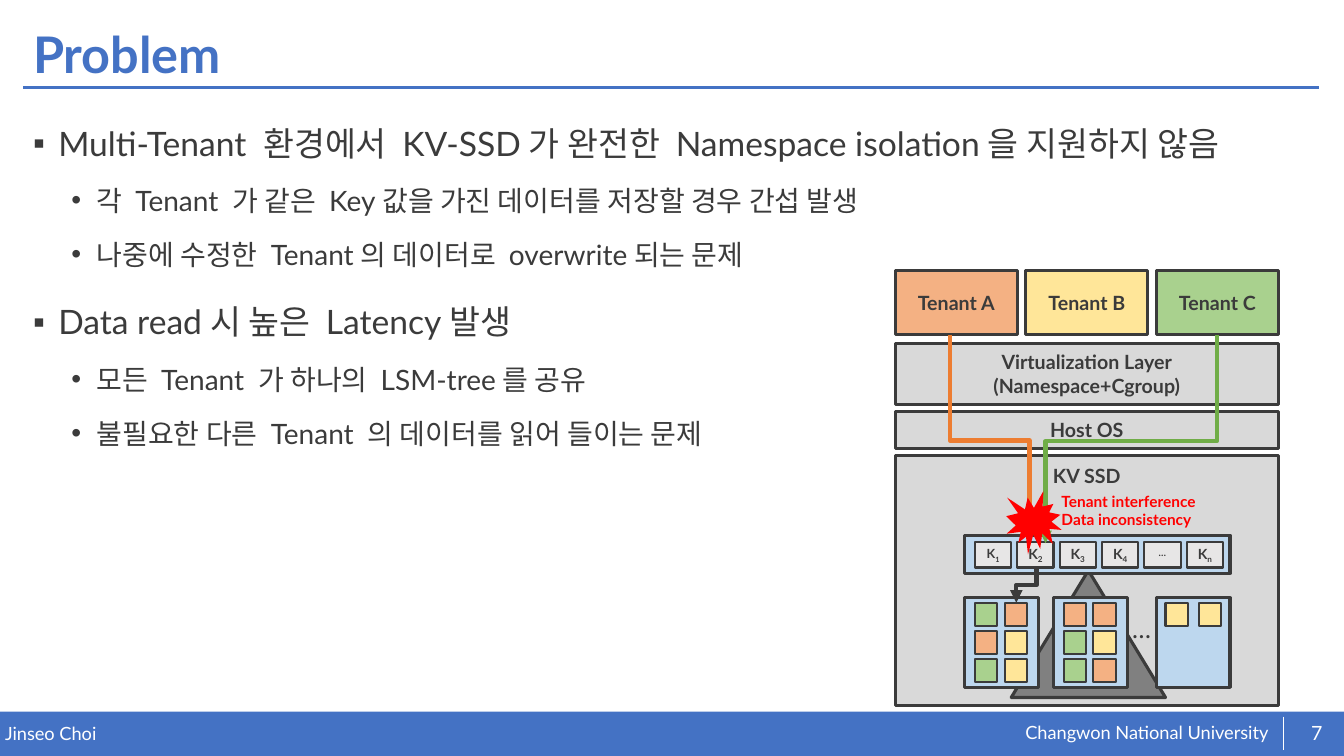
import pptx
import pptx.util
import pptx.dml.color
import pptx.enum.shapes
import pptx.enum.text
import pptx.oxml.ns
import lxml.etree

RGB = pptx.dml.color.RGBColor
BLUE = RGB(0x44, 0x72, 0xC4)
WHITE = RGB(0xFF, 0xFF, 0xFF)
INK = RGB(0x3B, 0x3B, 0x3B)
SILVER = RGB(0xD9, 0xD9, 0xD9)
PALE = RGB(0xE7, 0xE6, 0xE6)
GRAY = RGB(0x80, 0x80, 0x80)
SKY = RGB(0xBD, 0xD7, 0xEE)
PEACH = RGB(0xF4, 0xB1, 0x83)
CREAM = RGB(0xFF, 0xE6, 0x99)
MINT = RGB(0xA9, 0xD1, 0x8E)
AMBER = RGB(0xED, 0x7D, 0x31)
GREEN = RGB(0x70, 0xAD, 0x47)
RED = RGB(0xFF, 0, 0)

KIND = pptx.enum.shapes.MSO_SHAPE
LINK = pptx.enum.shapes.MSO_CONNECTOR
ALIGN = pptx.enum.text.PP_ALIGN
ANCHOR = pptx.enum.text.MSO_ANCHOR
Pt = pptx.util.Pt
qn = pptx.oxml.ns.qn

# Slide grid: square cells, 133.3 columns by 75 rows
COLS, ROWS = 133.3, 75
CELL = pptx.util.Inches(0.1)

POINTS = [
    (0, "Multi-Tenant 환경에서 KV-SSD가 완전한 Namespace isolation을 지원하지 않음"),
    (1, "각 Tenant 가 같은 Key값을 가진 데이터를 저장할 경우 간섭 발생"),
    (1, "나중에 수정한 Tenant의 데이터로 overwrite되는 문제"),
    (0, "Data read시 높은 Latency발생"),
    (1, "모든 Tenant 가 하나의 LSM-tree를 공유"),
    (1, "불필요한 다른 Tenant 의 데이터를 읽어 들이는 문제"),
]
# Per level: bullet, left margin in cells, text size, space before
LEVELS = [("▪", 2.5, 24, 10), ("•", 6.3, 20, 5)]


def grid(*cells):
    return [round(n * CELL) for n in cells]


def style(run, size, color, bold=False):
    run.font.name = "Lato"
    run.font.size = Pt(size)
    run.font.bold = bold
    run.font.color.rgb = color


def write(frame, text, size, color, bold=False, align=ALIGN.LEFT):
    frame.text = text
    for para in frame.paragraphs:
        para.alignment = align
        for run in para.runs:
            style(run, size, color, bold)


def inset(frame, side=0, top=0):
    frame.margin_left = frame.margin_right = grid(side)[0]
    frame.margin_top = frame.margin_bottom = grid(top)[0]


def label(shapes, place, text, size, color, bold=False, wrap=True, pad=True):
    frame = shapes.add_textbox(*grid(*place)).text_frame
    frame.word_wrap = wrap
    if not pad:
        inset(frame)
    write(frame, text, size, color, bold)
    return frame


def block(shapes, place, fill, edge=2.25, text="", kind=KIND.RECTANGLE):
    shape = shapes.add_shape(kind, *grid(*place))
    shape.shadow.inherit = False
    shape.fill.solid()
    shape.fill.fore_color.rgb = fill
    if edge:
        shape.line.color.rgb = INK
        shape.line.width = Pt(edge)
    else:
        shape.line.fill.background()
    if text:
        frame = shape.text_frame
        frame.vertical_anchor = ANCHOR.MIDDLE
        write(frame, text, 14, INK, True, ALIGN.CENTER)
    return shape


def rule(shapes, ends, color, width, kind=LINK.STRAIGHT):
    line = shapes.add_connector(kind, *grid(*ends))
    line.line.color.rgb = color
    line.line.width = Pt(width)
    lxml.etree.SubElement(line._element.spPr, qn("a:effectLst"))
    return line


def elbow(shapes, ends, color, bend=0.5):
    """Arrow that runs down, across, and down again."""
    x1, y1, x2, y2 = ends
    midx, midy = (x1 + x2) / 2, (y1 + y2) / 2
    long, wide = (y2 - y1) / 2, abs(x2 - x1) / 2
    turned = (midx - long, midy - wide, midx + long, midy + wide)
    line = rule(shapes, turned, color, 3, LINK.ELBOW)
    props = line._element.spPr
    frame = props.find(qn("a:xfrm"))
    frame.set("rot", str((270 if x2 > x1 else 90) * 60000))
    if x2 > x1:
        frame.set("flipH", "1")
    guides = props.find(qn("a:prstGeom")).find(qn("a:avLst"))
    lxml.etree.SubElement(guides, qn("a:gd"), name="adj1",
                          fmla=f"val {round(bend * 100000)}")
    lxml.etree.SubElement(props.find(qn("a:ln")), qn("a:tailEnd"),
                          type="triangle")


def points(shapes):
    frame = shapes.add_textbox(*grid(2.3, 10.1, 128.6, 56.3)).text_frame
    frame.word_wrap = True
    for i, (level, text) in enumerate(POINTS):
        mark, left, size, gap = LEVELS[level]
        para = frame.paragraphs[0] if i == 0 else frame.add_paragraph()
        para.text = text
        para.line_spacing = 1.4
        if i:
            para.space_before = Pt(gap)
        props = para._p.get_or_add_pPr()
        props.set("marL", str(grid(left)[0]))
        props.set("indent", str(grid(-2.5)[0]))
        lxml.etree.SubElement(props, qn("a:buFont"), typeface="Arial")
        lxml.etree.SubElement(props, qn("a:buChar"), char=mark)
        style(para.runs[0], size, INK)


def store(shapes, left, fills, first=1, step=2.95):
    """Table file: a box with two columns of data squares."""
    group = shapes.add_group_shape().shapes
    block(group, (left, 59.3, 7.3, 8.9), SKY)
    for i, fill in enumerate(fills):
        row, col = divmod(i, 2)
        block(group, (left + first + col * step, 59.8 + row * 2.8, 2.2, 2.3),
              fill, 1.5)


def keys(shapes):
    block(shapes, (95.7, 53.1, 26.3, 3.8), SKY)
    for i, sub in enumerate("1234…n"):
        dots = sub == "…"
        size = 12 if dots else 9 if i == 0 else 10
        box = block(shapes, (96.7 + i * 4.2, 53.8, 3.6, 2.5), PALE, 1.5,
                    sub if dots else "K")
        inset(box.text_frame)
        para = box.text_frame.paragraphs[0]
        if not dots:
            para.add_run().text = sub
        for run in para.runs:
            style(run, size, INK, True)
        run.font._element.set("baseline", "30000" if dots else "-25000")


def base(shapes):
    block(shapes, (0, 70.6, COLS, 4.4), BLUE, 0)
    label(shapes, (101.7, 71.6, 25, 2.3), "Changwon National University",
          13, WHITE, pad=False)
    label(shapes, (0.5, 71.7, 65.5, 2.2), "Jinseo Choi", 13, WHITE, pad=False)
    rule(shapes, (127.3, 71.1, 127.3, 74.4), WHITE, 0.5)
    page = label(shapes, (128.2, 70.7, 4.8, 4), "7", 14, WHITE, pad=False)
    page.vertical_anchor = ANCHOR.MIDDLE
    page.paragraphs[0].alignment = ALIGN.CENTER


def stack(shapes):
    # Layers below the tenants
    disk = block(shapes, (88.8, 45.2, 38, 24.8), SILVER, text="KV SSD")
    disk.text_frame.vertical_anchor = ANCHOR.TOP
    inset(disk.text_frame, 1, 0.8)
    block(shapes, (88.8, 40.8, 38, 3.7), SILVER, text="Host OS")
    block(shapes, (88.8, 34.1, 38, 6), SILVER,
          text="Virtualization Layer\n(Namespace+Cgroup)")
    block(shapes, (100.3, 56.6, 15.3, 12.6), GRAY,
          kind=KIND.ISOSCELES_TRIANGLE)
    # Tenants
    group = shapes.add_group_shape().shapes
    for i, fill in enumerate((PEACH, CREAM, MINT)):
        block(group, (88.8 + i * 12.95, 26.8, 12.1, 6.4), fill,
              text="Tenant " + "ABC"[i])
    # Stored data and keys
    store(shapes, 114.7, (CREAM, CREAM), 0.9, 3.3)
    store(shapes, 95.7, (MINT, PEACH, PEACH, CREAM, MINT, CREAM))
    store(shapes, 104.5, (PEACH, PEACH, MINT, CREAM, MINT, PEACH))
    keys(shapes)
    label(shapes, (111.3, 60.4, 3.9, 4), "…", 18, INK, wrap=False)
    # Colliding writes
    elbow(shapes, (94.2, 33.2, 102.1, 53.8), AMBER, 0.51)
    elbow(shapes, (120.7, 33.2, 103.7, 53.9), GREEN, 0.51)
    elbow(shapes, (102.8, 56.3, 100.8, 59.8), INK)
    block(shapes, (99.8, 48.7, 5.5, 6.3), RED, 0, kind=KIND.EXPLOSION1)
    label(shapes, (104.3, 48.3, 15.7, 4.7),
          "Tenant interference\nData inconsistency", 11, RED, True, False)


def main():
    deck = pptx.Presentation()
    deck.slide_width, deck.slide_height = grid(COLS, ROWS)
    shapes = deck.slides.add_slide(deck.slide_layouts[6]).shapes
    base(shapes)
    rule(shapes, (2.3, 8.7, 130.8, 8.7), BLUE, 2)
    head = label(shapes, (2.3, 1.8, 128.6, 7.7), "Problem", 36, BLUE, True)
    head.vertical_anchor = ANCHOR.MIDDLE
    head.paragraphs[0].line_spacing = 0.9
    points(shapes)
    stack(shapes)
    deck.save("out.pptx")


if __name__ == "__main__":
    main()
